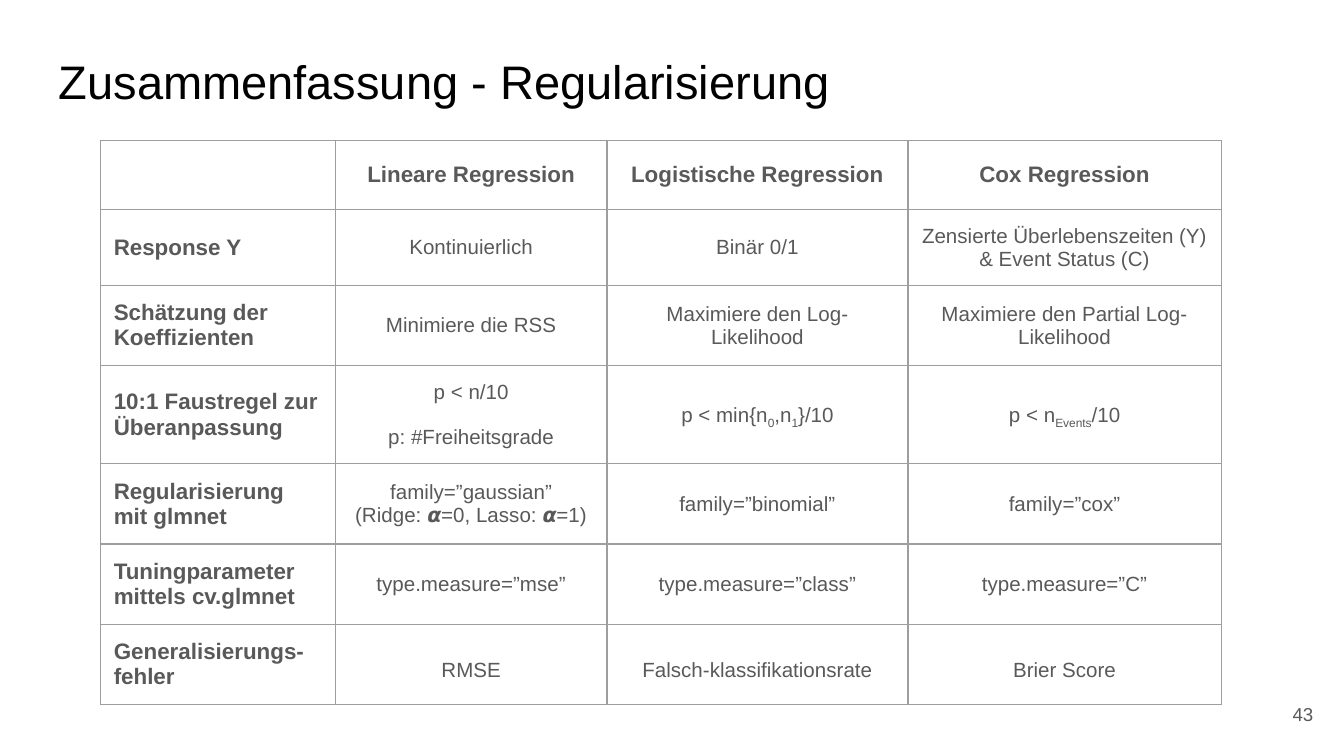
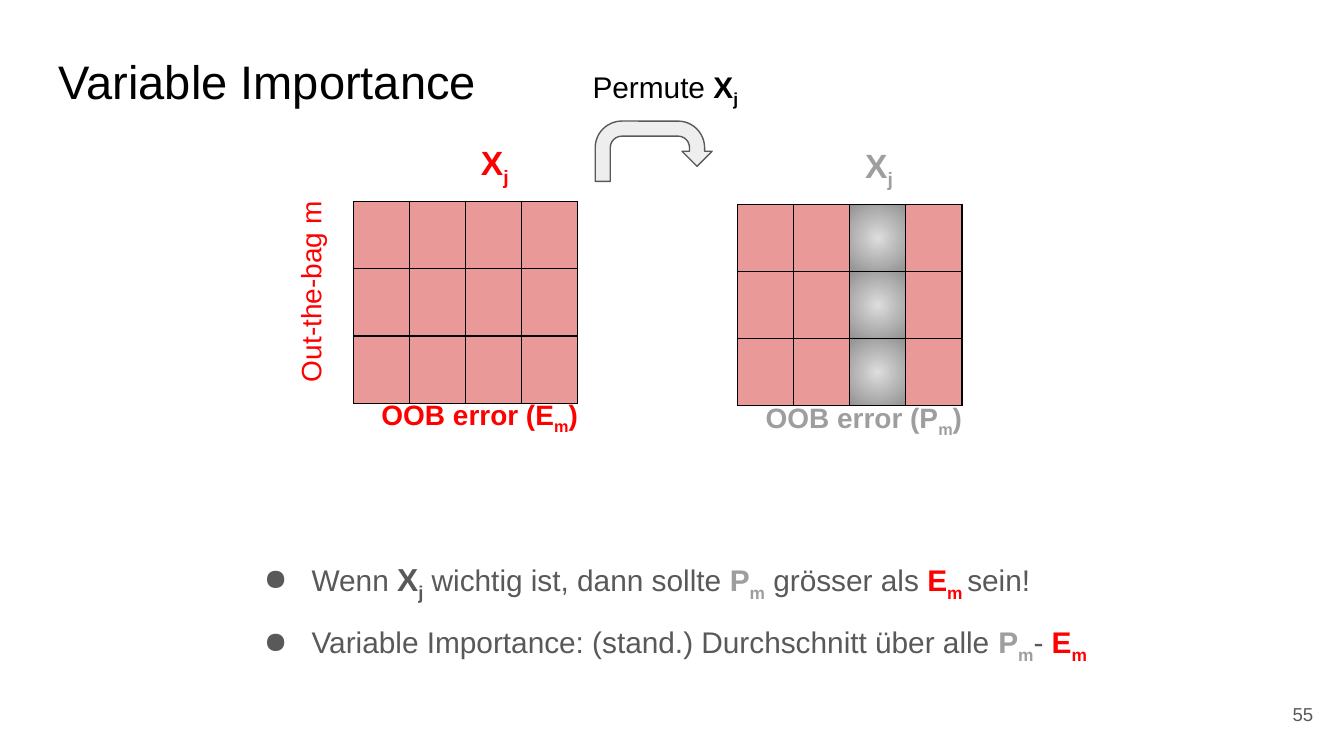
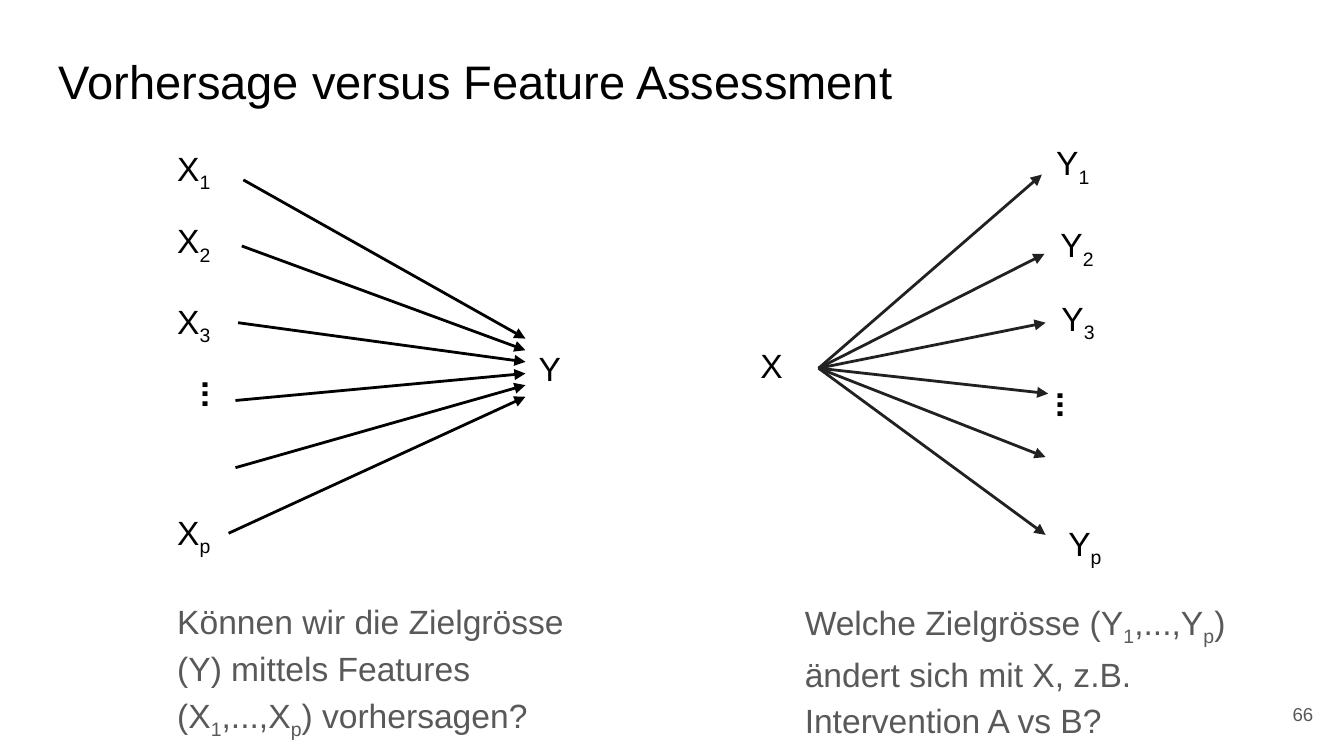
from itertools import product

from lxml import etree
from pptx import Presentation
from pptx import util as u
from pptx.dml.color import RGBColor
from pptx.enum import shapes, text
from pptx.oxml import ns, parse_xml

COLORS = {
    "ink": "000000",
    "body": "595959",
    "rule": "9E9E9E",
    "muted": "9E9E9E",
    "red": "FF0000",
    "rose": "EA9999",
    "pale": "EEEEEE",
    "glow": "DDDDDD",
    "shade": "919191",
    "ray": "212121",
}
CENTER = text.PP_ALIGN.CENTER
RIGHT = text.PP_ALIGN.RIGHT
MIDDLE = text.MSO_ANCHOR.MIDDLE
INSET = u.Cm(0.25)


def rgb(color):
    return RGBColor.from_string(COLORS[color])


def assign(target, values):
    for key, value in values.items():
        setattr(target, key, value)


def child(parent, tag, **attributes):
    return etree.SubElement(parent, ns.qn(tag), attributes)


class Deck:
    font = {"name": "Arial", "size": 18, "bold": False, "color": "ink"}

    def __init__(self):
        self.show = Presentation()
        self.show.slide_width = u.Cm(25.4)
        self.show.slide_height = u.Cm(14.29)
        self.slide = None

    def page(self, title, number):
        self.slide = self.show.slides.add_slide(self.show.slide_layouts[6])
        self.label((0.86, 0.74, 23.67, 1.6), [title], size=25.2)
        folio = self.label((23.55, 12.95, 1.52, 1.09), [str(number)],
                           {"alignment": RIGHT}, size=10, color="body")
        folio.text_frame.vertical_anchor = MIDDLE

    def compose(self, frame, paragraphs, layout=None, bullet=False, gap=0, **font):
        for index, parts in enumerate(paragraphs):
            paragraph = frame.add_paragraph() if index else frame.paragraphs[0]
            if bullet:
                self.bullet(paragraph)
            assign(paragraph, layout or {})
            if index and gap:
                paragraph.space_before = u.Pt(gap)
            if isinstance(parts, str):
                parts = [(parts, {})]
            for marked, change in parts:
                self.runs(paragraph, marked, {**self.font, **font, **change})

    def runs(self, paragraph, marked, style):
        for index, piece in enumerate(marked.split("|")):
            if not piece:
                continue
            run = paragraph.add_run()
            run.text = piece
            assign(run.font, {"name": style["name"], "size": u.Pt(style["size"]),
                              "bold": style["bold"]})
            run.font.color.rgb = rgb(style["color"])
            if index % 2:
                run._r.get_or_add_rPr().set("baseline", "-25000")

    def bullet(self, paragraph):
        properties = paragraph._p.get_or_add_pPr()
        properties.set("marL", str(u.Cm(1.27)))
        properties.set("indent", str(-u.Cm(0.9)))
        child(child(properties, "a:buClr"), "a:srgbClr", val=COLORS["body"])
        child(properties, "a:buChar", char="●")

    def label(self, box, paragraphs, layout=None, turn=0, **style):
        area = self.slide.shapes.add_textbox(*map(u.Cm, box))
        area.rotation = turn
        assign(area.text_frame, {
            "word_wrap": True, "margin_left": INSET, "margin_right": INSET,
            "margin_top": INSET, "margin_bottom": INSET})
        self.compose(area.text_frame, paragraphs, layout, **style)
        return area

    def table(self, corner, widths, heights, border):
        frame = self.slide.shapes.add_table(
            len(heights), len(widths), *map(u.Cm, corner),
            u.Cm(sum(widths)), u.Cm(sum(heights)))
        grid = frame.table
        assign(grid, {"first_row": False, "horz_banding": False})
        for column, width in zip(grid.columns, widths):
            column.width = u.Cm(width)
        for row, height in zip(grid.rows, heights):
            row.height = u.Cm(height)
        for cell in grid.iter_cells():
            assign(cell, {
                "margin_left": INSET, "margin_right": INSET, "margin_top": INSET,
                "margin_bottom": INSET, "vertical_anchor": MIDDLE})
            for side in ("a:lnL", "a:lnR", "a:lnT", "a:lnB"):
                line = child(cell._tc.get_or_add_tcPr(), side, w=str(u.Pt(0.75)))
                child(child(line, "a:solidFill"), "a:srgbClr", val=COLORS[border])
            cell.fill.background()
        return grid

    def glow(self, cell):
        properties = cell._tc.get_or_add_tcPr()
        properties.remove(properties.find(ns.qn("a:noFill")))
        properties.append(parse_xml(
            f'<a:gradFill {ns.nsdecls("a")}><a:gsLst>'
            f'<a:gs pos="0"><a:srgbClr val="{COLORS["glow"]}"/></a:gs>'
            f'<a:gs pos="100000"><a:srgbClr val="{COLORS["shade"]}"/></a:gs>'
            '</a:gsLst><a:path path="circle"><a:fillToRect l="50000" t="50000" '
            'r="50000" b="50000"/></a:path></a:gradFill>'))

    def samples(self, corner, permuted=None):
        grid = self.table(corner, [1.06] * 4, [1.27] * 3, "ink")
        for row, column in product(range(3), range(4)):
            cell = grid.cell(row, column)
            if column == permuted:
                self.glow(cell)
            else:
                cell.fill.solid()
                cell.fill.fore_color.rgb = rgb("rose")

    def uturn(self, box, adjustments):
        arrow = self.slide.shapes.add_shape(
            shapes.MSO_SHAPE.U_TURN_ARROW, *map(u.Cm, box))
        arrow.shadow.inherit = False
        for index, value in enumerate(adjustments):
            arrow.adjustments[index] = value
        arrow.fill.solid()
        arrow.fill.fore_color.rgb = rgb("pale")
        arrow.line.color.rgb = rgb("body")
        arrow.line.width = u.Pt(0.75)

    def arrow(self, start, end, color):
        ray = self.slide.shapes.add_connector(
            shapes.MSO_CONNECTOR.STRAIGHT, *map(u.Cm, (*start, *end)))
        ray.line.color.rgb = rgb(color)
        ray.line.width = u.Pt(1.5)
        properties = ray._element.spPr
        child(properties.find(ns.qn("a:ln")), "a:tailEnd", type="triangle")
        child(properties, "a:effectLst")


def regularisation(deck):
    deck.page("Zusammenfassung - Regularisierung", 43)
    methods = [
        ["", "Lineare Regression", "Logistische Regression", "Cox Regression"],
        ["Response Y", "Kontinuierlich", "Binär 0/1",
         "Zensierte Überlebenszeiten (Y) & Event Status (C)"],
        ["Schätzung der Koeffizienten", "Minimiere die RSS",
         "Maximiere den Log-Likelihood", "Maximiere den Partial Log-Likelihood"],
        ["10:1 Faustregel zur Überanpassung", "p < n/10\np: #Freiheitsgrade",
         "p < min{n|0|,n|1|}/10", "p < n|Events|/10"],
        ["Regularisierung mit glmnet",
         "family=”gaussian”\n(Ridge: 𝞪=0, Lasso: 𝞪=1)",
         "family=”binomial”", "family=”cox”"],
        ["Tuningparameter mittels cv.glmnet", "type.measure=”mse”",
         "type.measure=”class”", "type.measure=”C”"],
        ["Generalisierungs- fehler", "RMSE", "Falsch-klassifikationsrate",
         "Brier Score"],
    ]
    spacing = {3: 1.15, 6: 1.5}
    grid = deck.table((1.9, 2.66), [4.44, 5.13, 5.69, 5.92],
                      [1.3, 1.36, 1.46, 1.8, 1.46, 1.46, 1.46], "rule")
    for row, entries in enumerate(methods):
        for column, entry in enumerate(entries):
            heading = row == 0 or column == 0
            layout = {"alignment": CENTER} if column else {}
            if column > 1 and row == 3 or column and row == 6:
                layout["line_spacing"] = spacing[row]
            deck.compose(grid.cell(row, column).text_frame, entry.split("\n"), layout,
                         gap=12 if row == 3 else 0, size=12 if heading else 11,
                         bold=heading, color="body")


def importance(deck):
    deck.page("Variable Importance", 55)
    strong = {"bold": True}
    feature = {"bold": True, "size": 17}
    permuted_error = {"bold": True, "color": "muted"}
    bag_error = {"bold": True, "color": "red"}
    deck.label((4.37, 9.93, 17.25, 2.29), [
        [("Wenn ", {}), ("X|j|", feature), (" wichtig ist, dann sollte ", {}),
         ("P|m|", permuted_error), (" grösser als ", {}), ("E|m |", bag_error),
         ("sein!", {})],
        [("Variable Importance: (stand.) Durchschnitt über alle ", {}),
         ("P|m|", permuted_error), ("- ", {}), ("E|m|", bag_error)],
    ], {"line_spacing": 1.5}, bullet=True, size=16, color="body")
    for left, top, error, color, permuted in (
            (6.68, 3.81, "E", "red", None), (13.94, 3.86, "P", "muted", 2)):
        deck.samples((left, top), permuted)
        deck.label((left + 2.16, top - 1.37, 1.19, 1.27), ["X|j|"],
                   bold=True, color=color)
        deck.label((left + 0.28, top + 3.46, 4.52, 1.14),
                   [f"OOB error ({error}|m|)"], size=15, bold=True, color=color)
    deck.label((3.48, 4.83, 4.14, 1.14), ["Out-the-bag m"],
               {"line_spacing": 1.5}, turn=270, size=15, color="red")
    deck.uturn((11.25, 2.29, 2.21, 1.14), [0.25, 0.25, 0.25, 0.44, 0.75])
    deck.label((10.95, 1.04, 3.4, 1.19), [[("Permute ", {}), ("X|j|", strong)]],
               size=16)


def assessment(deck):
    deck.page("Vorhersage versus Feature Assessment", 66)
    feature_ends = [(4.6, 3.4), (4.57, 4.65), (4.5, 6.1),
                    (4.45, 7.57), (4.45, 8.84), (4.32, 10.08)]
    for index, start in enumerate(feature_ends):
        deck.arrow(start, (9.93, 6.4 + 0.22 * index), "ink")
    target_ends = [(19.69, 3.3), (19.74, 4.8), (19.76, 6.1),
                   (19.81, 7.44), (19.76, 8.64), (19.76, 10.11)]
    for end in target_ends:
        deck.arrow((15.47, 6.96), end, "ray")
    variables = [
        ("X|1|", 3.1, 2.54), ("X|2|", 3.1, 3.91), ("X|3|", 3.1, 5.44),
        ("X|p|", 3.1, 9.42), ("Y", 9.93, 6.32), ("X", 14.12, 6.27),
        ("Y|1|", 19.71, 2.44), ("Y|2|", 19.79, 3.99), ("Y|3|", 19.81, 5.38),
        ("Y|p|", 19.94, 9.63),
    ]
    for name, left, top in variables:
        deck.label((left, top, 1.6, 1.3), [name])
    for left, top, spacing in ((2.69, 7.7, 1.0), (19.23, 7.9, 1.5)):
        deck.label((left, top, 2.78, 1.27), ["..."], {"line_spacing": spacing},
                   turn=90, bold=True)
    questions = [
        (3.1, 8.33, "Können wir die Zielgrösse (Y) mittels Features "
                    "(X|1|,...,X|p|) vorhersagen?"),
        (14.96, 8.66, "Welche Zielgrösse (Y|1|,...,Y|p|) ändert sich mit X, "
                      "z.B. Intervention A vs B?"),
    ]
    for left, width, question in questions:
        deck.label((left, 11, width, 3.05), [question], {"line_spacing": 1.15},
                   color="body")


def main():
    deck = Deck()
    regularisation(deck)
    importance(deck)
    assessment(deck)
    deck.show.save("out.pptx")


if __name__ == "__main__":
    main()
